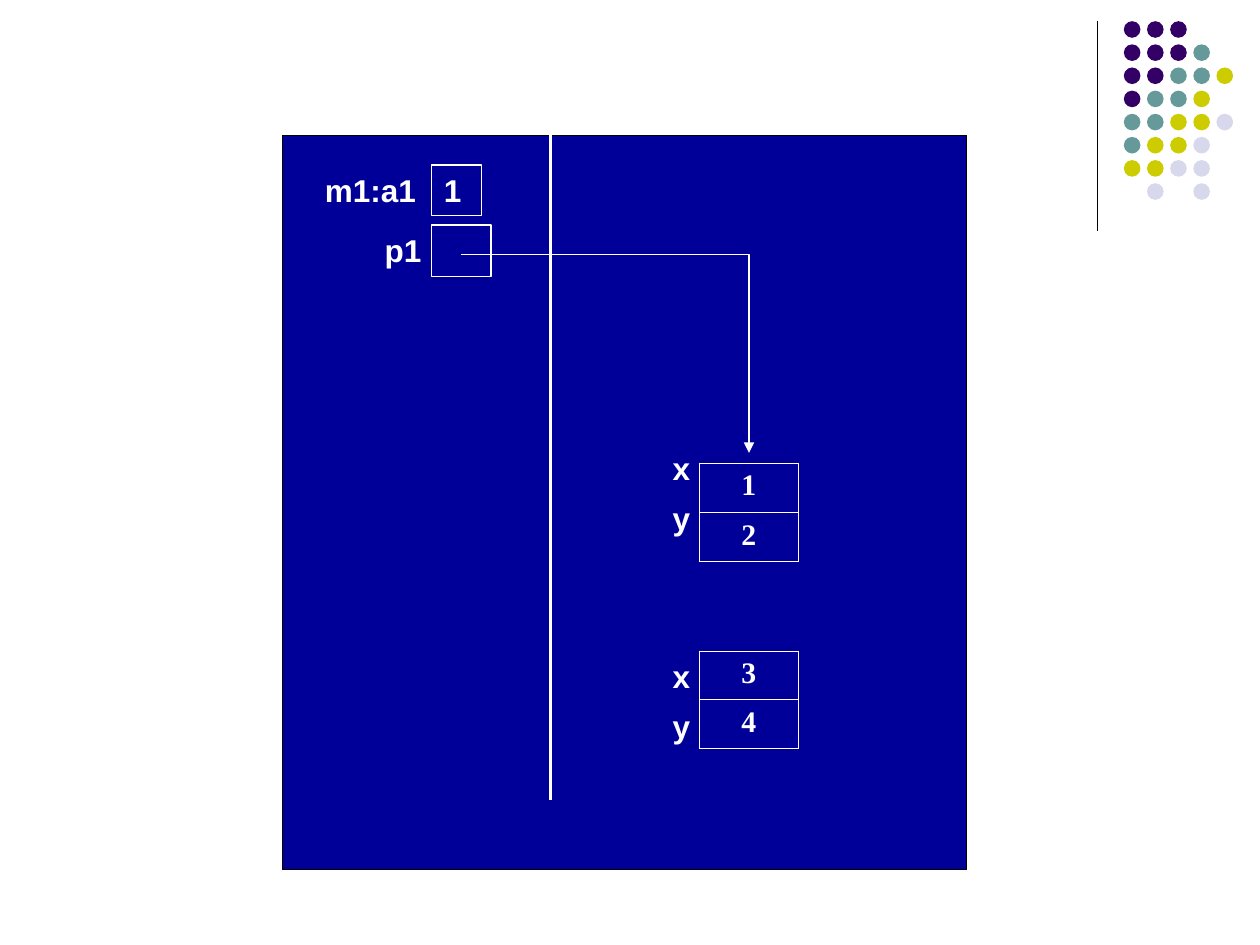
from dataclasses import dataclass

from lxml.etree import SubElement
from pptx import Presentation
from pptx.dml.color import RGBColor
from pptx.enum.shapes import MSO_CONNECTOR, MSO_SHAPE
from pptx.enum.text import MSO_ANCHOR, PP_ALIGN
from pptx.oxml.ns import qn
from pptx.util import Pt

WHITE, BLACK, NAVY = "FFFFFF", "000000", "000099"
DOT_COLORS = {"p": "330066", "t": "669999", "y": "CCCC00", "l": "D8D8EC"}
DOT_ROWS = ["ppp", "pppt", "pptty", "ptty", "ttyyl", "tyyl", "yyll", " l l"]
DOT_LEFT, DOT_TOP, DOT_PITCH, DOT_SIZE = 642.2, 12.1, 13.23, 9.5
LABEL_HEIGHT = 28.8


@dataclass
class Label:
    text: str
    left: float
    top: float
    width: float


@dataclass
class Record:
    """Two stacked field values of a heap object."""
    top: float
    height: float
    values: tuple[str, str]


LABELS = [
    Label("m1:a1", 178.6, 94.3, 79.2),
    Label("p1", 212.7, 128.5, 45.4),
    Label("x", 377.3, 253, 28.1),
    Label("y", 377.3, 281.5, 28.1),
    Label("x", 377.3, 372.2, 28.1),
    Label("y", 377.3, 400.5, 28.1),
]
RECORDS = [
    Record(264.5, 56.2, ("1", "2")),
    Record(372, 55.6, ("3", "4")),
]


def rgb(color: str) -> RGBColor:
    return RGBColor.from_string(color)


def write(frame, text: str, *, font: str = "Arial", size: float = 18,
          align: PP_ALIGN = PP_ALIGN.LEFT) -> None:
    para = frame.paragraphs[0]
    para.alignment = align
    span = para.add_run()
    span.text = text
    span.font.name, span.font.size, span.font.bold = font, Pt(size), True
    span.font.color.rgb = rgb(WHITE)


def add_preset(page, kind: MSO_SHAPE, left: float, top: float, width: float,
               height: float, *, fill: str | None = None, line: str | None = None):
    shape = page.shapes.add_shape(kind, Pt(left), Pt(top), Pt(width), Pt(height))
    shape.shadow.inherit = False
    if fill:
        shape.fill.solid()
        shape.fill.fore_color.rgb = rgb(fill)
    else:
        shape.fill.background()
    if line:
        shape.line.color.rgb = rgb(line)
        shape.line.width = Pt(0.75)
    else:
        shape.line.fill.background()
    return shape


def add_line(page, start: tuple[float, float], end: tuple[float, float], color: str,
             *, weight: float = 0.75, kind: MSO_CONNECTOR = MSO_CONNECTOR.STRAIGHT):
    line = page.shapes.add_connector(kind, *map(Pt, start + end))
    line.line.color.rgb = rgb(color)
    line.line.width = Pt(weight)
    SubElement(line._element.spPr, qn("a:effectLst"))
    return line


def add_pointer(page, start: tuple[float, float], end: tuple[float, float]) -> None:
    """Draw an arrow that runs across, then down."""
    pointer = add_line(page, start, end, WHITE, kind=MSO_CONNECTOR.ELBOW)
    pointer._element.spPr.find(qn("a:prstGeom")).set("prst", "bentConnector2")
    SubElement(pointer.line._get_or_add_ln(), qn("a:tailEnd"), type="triangle")


def add_label(page, label: Label) -> None:
    box = page.shapes.add_textbox(
        Pt(label.left), Pt(label.top), Pt(label.width), Pt(LABEL_HEIGHT))
    box.text_frame.word_wrap = True
    write(box.text_frame, label.text)


def outline_cell(cell) -> None:
    properties = cell._tc.get_or_add_tcPr()
    for side in ("lnL", "lnR", "lnT", "lnB"):
        border = SubElement(properties, qn(f"a:{side}"), w=str(Pt(0.45)))
        fill = SubElement(border, qn("a:solidFill"))
        SubElement(fill, qn("a:srgbClr"), val=WHITE)


def add_record(page, record: Record) -> None:
    table = page.shapes.add_table(
        len(record.values), 1, Pt(399.6), Pt(record.top), Pt(56.7), Pt(record.height)).table
    table.first_row = table.horz_banding = False
    for row, value in enumerate(record.values):
        cell = table.cell(row, 0)
        outline_cell(cell)
        cell.fill.background()
        write(cell.text_frame, value, font="Times New Roman", size=17,
              align=PP_ALIGN.CENTER)


def add_dots(page) -> None:
    for row, codes in enumerate(DOT_ROWS):
        for column, code in enumerate(codes):
            if code in DOT_COLORS:
                add_preset(page, MSO_SHAPE.OVAL, DOT_LEFT + column * DOT_PITCH,
                           DOT_TOP + row * DOT_PITCH, DOT_SIZE, DOT_SIZE,
                           fill=DOT_COLORS[code])


def main() -> None:
    deck = Presentation()
    deck.slide_width, deck.slide_height = Pt(720), Pt(540)
    page = deck.slides.add_slide(deck.slide_layouts[6])

    add_line(page, (627, 12), (627, 132), BLACK)
    add_dots(page)

    add_preset(page, MSO_SHAPE.RECTANGLE, 161.5, 77.3, 391, 419.6, fill=NAVY, line=BLACK)
    add_line(page, (314.6, 77.3), (314.6, 457), WHITE, weight=1.5)

    for label in LABELS:
        add_label(page, label)
    value_box = add_preset(page, MSO_SHAPE.RECTANGLE, 246.6, 94.3, 28.4, LABEL_HEIGHT,
                           line=WHITE)
    value_box.text_frame.vertical_anchor = MSO_ANCHOR.TOP
    write(value_box.text_frame, "1")
    add_preset(page, MSO_SHAPE.RECTANGLE, 246.6, 128.5, 34, 29.5, line=WHITE)
    add_pointer(page, (263.5, 145.3), (428, 258.8))

    for record in RECORDS:
        add_record(page, record)
    deck.save("out.pptx")


if __name__ == "__main__":
    main()
